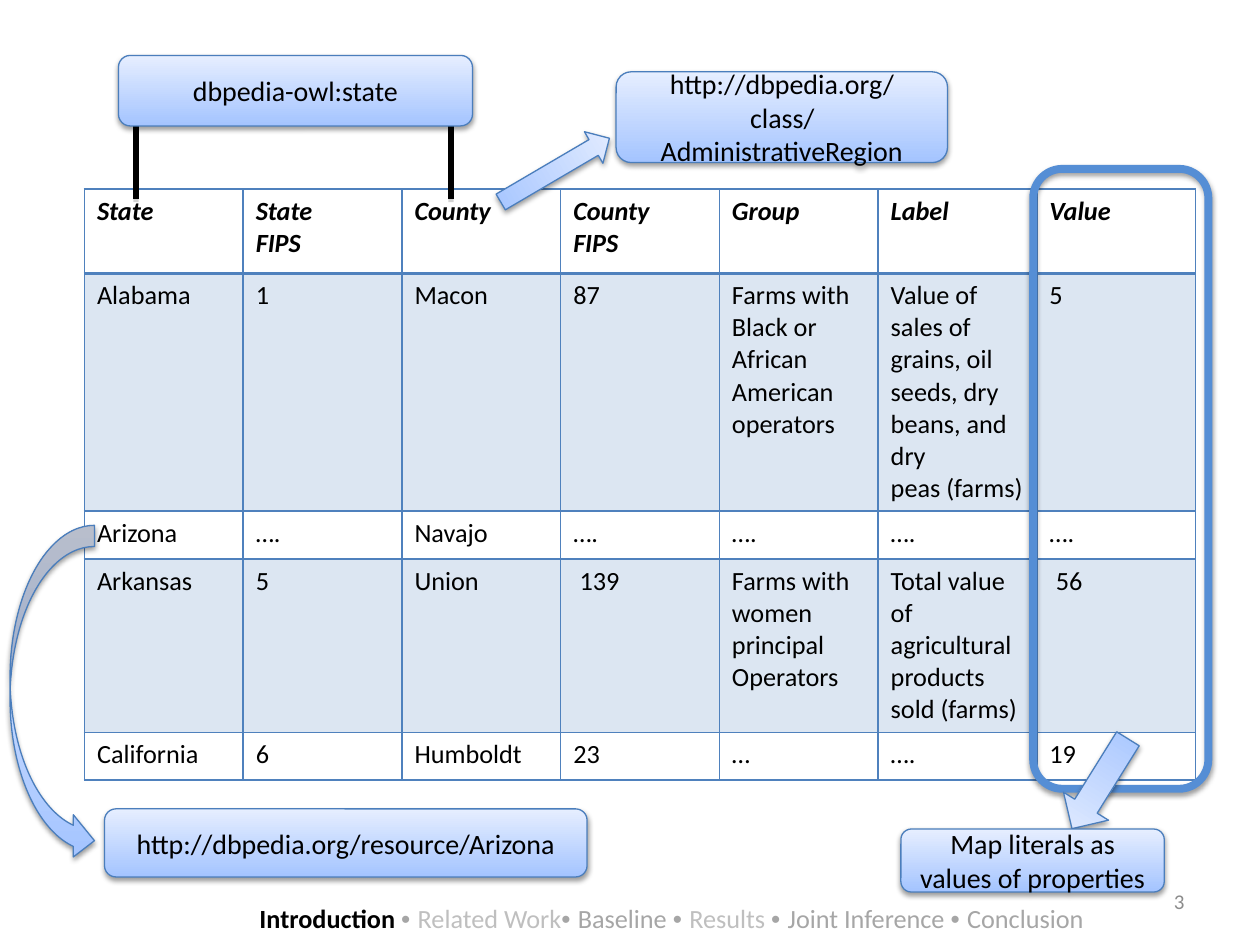
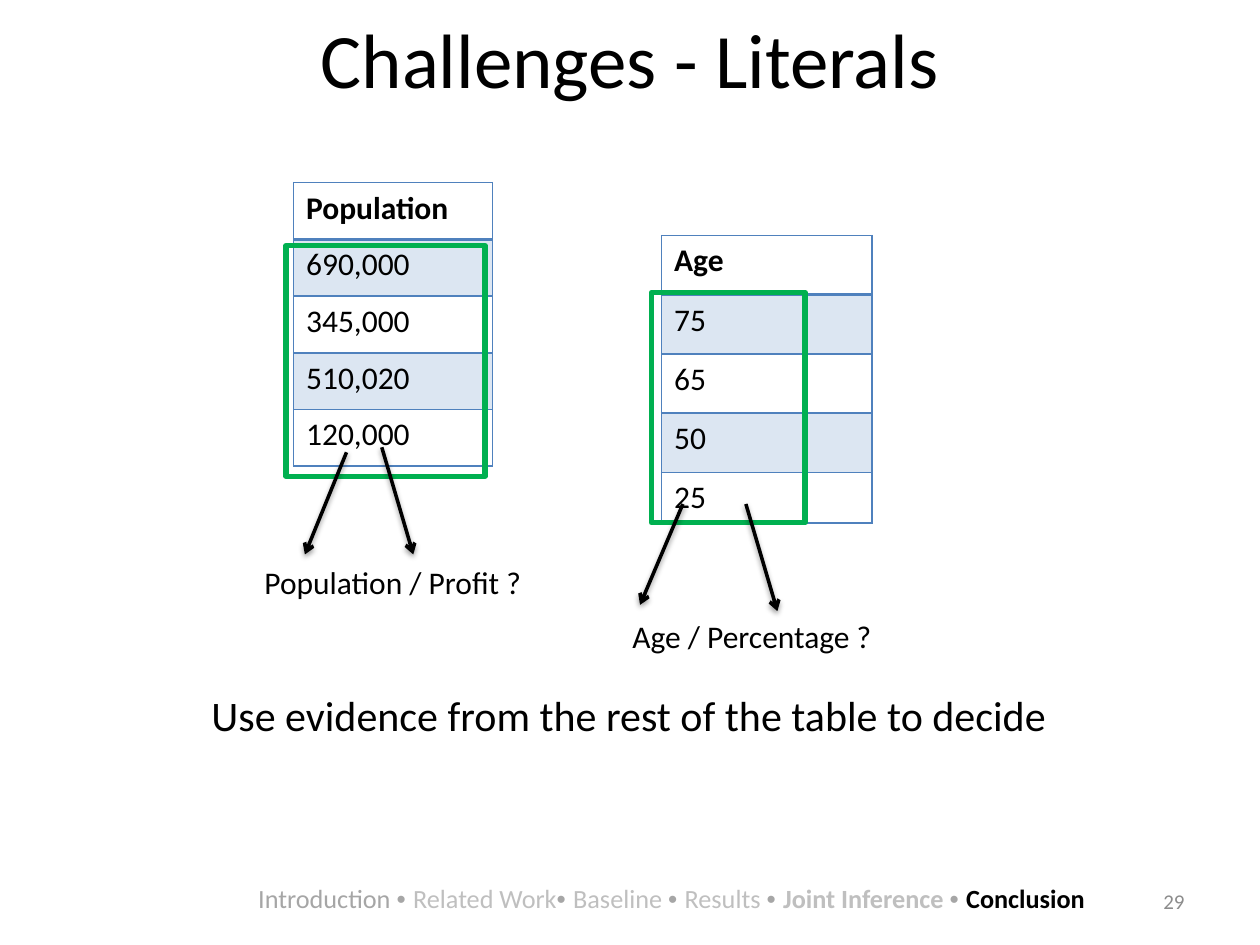
from dataclasses import dataclass, field
from typing import Any, NamedTuple

from lxml.etree import SubElement
from pptx import Presentation
from pptx.dml.color import RGBColor
from pptx.enum.shapes import MSO_CONNECTOR as Connector, MSO_SHAPE as Preset
from pptx.enum.text import MSO_ANCHOR as Anchor, MSO_AUTO_SIZE as AutoSize, PP_ALIGN as Align
from pptx.oxml.ns import qn
from pptx.util import Inches, Pt

BLACK = "000000"
GREY = "A6A6A6"
LIGHT_GREY = "BFBFBF"
NUMBER_GREY = "8C8C8C"
TABLE_BLUE = "4F81BD"
BAND_BLUE = "DCE6F2"
OUTLINE_BLUE = "4B7EBC"
FRAME_BLUE = "558ED5"
GRADIENT = ("A4C4FF", "E6EEFF")
GREEN = "00B050"
SECTIONS = ("Introduction ", "Related Work", "Baseline ", "Results ",
            "Joint Inference ", "Conclusion")


class Box(NamedTuple):
    left: float
    top: float
    width: float
    height: float

    def lengths(self) -> list[int]:
        return [Inches(value) for value in self]


class Shadow(NamedTuple):
    color: str
    opacity: int
    blur: float
    distance: float


class SectionStyle(NamedTuple):
    color: str
    bold: bool = False


SOFT_SHADOW = Shadow(BLACK, 38, 3.1, 1.6)
LINE_SHADOW = Shadow("808080", 35, 0, 1.8)
CURRENT = SectionStyle(BLACK, True)
DIM = SectionStyle(GREY)
FAINT = SectionStyle(LIGHT_GREY)


@dataclass
class Label:
    text: str
    box: Box
    size: float = 18
    color: str = BLACK
    frame: dict[str, Any] = field(default_factory=dict)
    align: Align = Align.LEFT


@dataclass
class Figure:
    preset: Preset
    box: Box
    text: str = ""
    rotation: float = 0


@dataclass
class Frame:
    preset: Preset
    box: Box
    color: str
    width: float
    shadow: Shadow | None = None


@dataclass
class Line:
    start: tuple[float, float]
    end: tuple[float, float]
    width: float = 2
    shadow: Shadow = SOFT_SHADOW
    arrow: bool = True


@dataclass
class Grid:
    left: float
    top: float
    column_width: float
    row_heights: list[float]
    rows: list[list[str]]
    size: float
    header_italic: bool = False
    indented: tuple[tuple[int, int], ...] = ()


def rgb(color: str) -> RGBColor:
    return RGBColor.from_string(color)


def set_format(target, values: dict[str, Any]) -> None:
    for name, value in values.items():
        setattr(target, name, value)


def set_font(run, size: float, color: str = BLACK, **values) -> None:
    set_format(run.font, {"name": "Calibri", "size": Pt(size), **values})
    run.font.color.rgb = rgb(color)


def set_line(shape, color: str, width: float) -> None:
    shape.line.color.rgb = rgb(color)
    shape.line.width = Pt(width)


def add_shadow(shape, shadow: Shadow | None) -> None:
    """Replace the theme shadow; None leaves the shape without one."""
    properties = shape._element.spPr
    effects = properties.find(qn("a:effectLst"))
    if effects is None:
        effects = SubElement(properties, qn("a:effectLst"))
    if shadow is None:
        return
    outer = SubElement(effects, qn("a:outerShdw"), blurRad=str(Pt(shadow.blur)),
                       dist=str(Pt(shadow.distance)), dir="5400000", rotWithShape="0")
    color = SubElement(outer, qn("a:srgbClr"), val=shadow.color)
    SubElement(color, qn("a:alpha"), val=str(shadow.opacity * 1000))


def add_label(slide, label: Label):
    shape = slide.shapes.add_textbox(*label.box.lengths())
    set_format(shape.text_frame, {"word_wrap": True, **label.frame})
    paragraph = shape.text_frame.paragraphs[0]
    paragraph.alignment = label.align
    if label.text:
        run = paragraph.add_run()
        run.text = label.text
        set_font(run, label.size, label.color)
    return shape


def add_figure(slide, figure: Figure) -> None:
    shape = slide.shapes.add_shape(figure.preset, *figure.box.lengths())
    shape.rotation = figure.rotation
    shape.shadow.inherit = False
    shape.fill.gradient()
    shape.fill.gradient_angle = 90
    for stop, color in zip(shape.fill.gradient_stops, GRADIENT):
        stop.color.rgb = rgb(color)
    set_line(shape, OUTLINE_BLUE, 0.75)
    add_shadow(shape, SOFT_SHADOW)
    if figure.text:
        set_format(shape.text_frame, {"word_wrap": True, "vertical_anchor": Anchor.MIDDLE})
        paragraph = shape.text_frame.paragraphs[0]
        paragraph.alignment = Align.CENTER
        run = paragraph.add_run()
        run.text = figure.text
        set_font(run, 16)


def add_frame(slide, frame: Frame) -> None:
    shape = slide.shapes.add_shape(frame.preset, *frame.box.lengths())
    shape.shadow.inherit = False
    shape.fill.background()
    set_line(shape, frame.color, frame.width)
    add_shadow(shape, frame.shadow)


def add_line(slide, line: Line) -> None:
    ends = [Inches(value) for value in (*line.start, *line.end)]
    connector = slide.shapes.add_connector(Connector.STRAIGHT, *ends)
    set_line(connector, BLACK, line.width)
    if line.arrow:
        SubElement(connector.line._get_or_add_ln(), qn("a:tailEnd"), type="arrow")
    add_shadow(connector, line.shadow)


def add_borders(cell, row: int) -> None:
    """Thin borders, with a thicker line between header and body."""
    widths = {"lnL": 1, "lnR": 1, "lnT": 2 if row == 1 else 1, "lnB": 2 if row == 0 else 1}
    properties = cell._tc.get_or_add_tcPr()
    for side, width in widths.items():
        border = SubElement(properties, qn(f"a:{side}"), w=str(Pt(width)))
        SubElement(SubElement(border, qn("a:solidFill")), qn("a:srgbClr"), val=TABLE_BLUE)


def add_grid(slide, grid: Grid) -> None:
    columns = len(grid.rows[0])
    box = Box(grid.left, grid.top, grid.column_width * columns, sum(grid.row_heights))
    table = slide.shapes.add_table(len(grid.rows), columns, *box.lengths()).table
    set_format(table, {"first_row": False, "horz_banding": False})
    for column in table.columns:
        column.width = Inches(grid.column_width)
    for row, texts in enumerate(grid.rows):
        table.rows[row].height = Inches(grid.row_heights[row])
        for column, text in enumerate(texts):
            cell = table.cell(row, column)
            add_borders(cell, row)
            if row % 2:
                cell.fill.solid()
                cell.fill.fore_color.rgb = rgb(BAND_BLUE)
            else:
                cell.fill.background()
            if (row, column) in grid.indented:
                cell.margin_left = Inches(0.15)
            cell.text_frame.text = text
            for paragraph in cell.text_frame.paragraphs:
                set_font(paragraph.runs[0], grid.size, bold=row == 0,
                         italic=row == 0 and grid.header_italic)


def add_footer(slide, top: float, number: int, styles: list[SectionStyle]) -> None:
    frame = {"vertical_anchor": Anchor.MIDDLE, "margin_top": 0, "margin_bottom": 0,
             "auto_size": AutoSize.SHAPE_TO_FIT_TEXT}
    trail = add_label(slide, Label("", Box(0.33, top, 10, 0.25), frame=frame, align=Align.CENTER))
    paragraph = trail.text_frame.paragraphs[0]
    for position, (section, style) in enumerate(zip(SECTIONS, styles)):
        if position:
            bullet = paragraph.add_run()
            bullet.text = "• "
            set_font(bullet, 15, GREY, name="Arial")
        run = paragraph.add_run()
        run.text = section
        set_font(run, 15, style.color, bold=style.bold)
    add_label(slide, Label(str(number), Box(7.17, 6.95, 2.33, 0.4), 12, NUMBER_GREY,
                           {"vertical_anchor": Anchor.MIDDLE}, Align.RIGHT))


def build_mapping_slide(slide) -> None:
    add_grid(slide, Grid(0.67, 1.5, 1.26, [0.67, 1.8, 0.38, 0.38, 0.38], [
        ["State", "State\nFIPS", "County", "County\nFIPS", "Group", "Label", "Value"],
        ["Alabama", "1", "Macon", "87", "Farms with Black or African\nAmerican operators",
         "Value of sales of grains, oil\nseeds, dry beans, and dry\npeas (farms)", "5"],
        ["Arizona", "….", "Navajo", "….", "….", "….", "…."],
        ["Arkansas", "5", "Union", "139", "Farms with women principal\nOperators",
         "Total value of agricultural\nproducts sold (farms)", "56"],
        ["California", "6", "Humboldt", "23", "…", "….", "19"],
    ], 15, header_italic=True, indented=((3, 3), (3, 6))))
    rounded = Preset.ROUNDED_RECTANGLE
    for figure in (
        Figure(Preset.UP_ARROW, Box(4.26, 0.85, 0.29, 1), rotation=59.6),
        Figure(rounded, Box(4.89, 0.57, 2.63, 0.72),
               "http://dbpedia.org/class/AdministrativeRegion"),
        Figure(Preset.CURVED_RIGHT_ARROW, Box(0.08, 4.17, 0.67, 2.67)),
        Figure(rounded, Box(0.83, 6.42, 3.83, 0.54), "http://dbpedia.org/resource/Arizona"),
    ):
        add_figure(slide, figure)
    add_frame(slide, Frame(rounded, Box(8.2, 1.34, 1.39, 4.92), FRAME_BLUE, 4.5, SOFT_SHADOW))
    add_figure(slide, Figure(Preset.UP_ARROW, Box(8.52, 5.8, 0.42, 0.84), rotation=211.9))
    add_figure(slide, Figure(rounded, Box(7.15, 6.58, 2.09, 0.5),
                             "Map literals as values of properties"))
    for x in (1.08, 3.58):
        add_line(slide, Line((x, 1), (x, 1.58), 3, LINE_SHADOW, arrow=False))
    add_figure(slide, Figure(rounded, Box(0.94, 0.44, 2.81, 0.56), "dbpedia-owl:state"))
    add_footer(slide, 7.16, 3, [CURRENT, FAINT, DIM, FAINT, DIM, DIM])


def build_literals_slide(slide) -> None:
    add_label(slide, Label("Challenges - Literals", Box(0.5, -0.17, 9, 1.25), 44,
                           frame={"vertical_anchor": Anchor.MIDDLE}, align=Align.CENTER))
    populations = ["Population", "690,000", "345,000", "510,020", "120,000"]
    ages = ["Age", "75", "65", "50", "25"]
    add_grid(slide, Grid(2.33, 1.45, 1.58, [0.45] * 5, [[text] for text in populations], 18))
    add_grid(slide, Grid(5.25, 1.87, 1.67, [0.47] * 4 + [0.39], [[text] for text in ages], 18))
    for box in (Box(2.27, 1.95, 1.58, 1.83), Box(5.17, 2.32, 1.22, 1.83)):
        add_frame(slide, Frame(Preset.RECTANGLE, box, GREEN, 3))
    for start, end in (((2.75, 3.59), (2.42, 4.4)), ((3.03, 3.55), (3.28, 4.4)),
                       ((5.42, 4), (5.08, 4.8)), ((5.92, 4), (6.17, 4.85))):
        add_line(slide, Line(start, end))
    grow = {"auto_size": AutoSize.SHAPE_TO_FIT_TEXT}
    for label in (
        Label("Population / Profit ?", Box(2, 4.42, 2.25, 0.4), frame=grow),
        Label("Age / Percentage ?", Box(4.92, 4.85, 2.25, 0.4), frame=grow),
        Label("Use evidence from the rest of the table to decide",
              Box(1.58, 5.42, 7.55, 0.5), 24, frame=grow),
    ):
        add_label(slide, label)
    add_footer(slide, 7, 29, [DIM, FAINT, FAINT, FAINT, SectionStyle(LIGHT_GREY, True), CURRENT])


def main() -> None:
    presentation = Presentation()
    set_format(presentation, {"slide_width": Inches(10), "slide_height": Inches(7.5)})
    for build in (build_mapping_slide, build_literals_slide):
        build(presentation.slides.add_slide(presentation.slide_layouts[6]))
    presentation.save("out.pptx")


if __name__ == "__main__":
    main()
